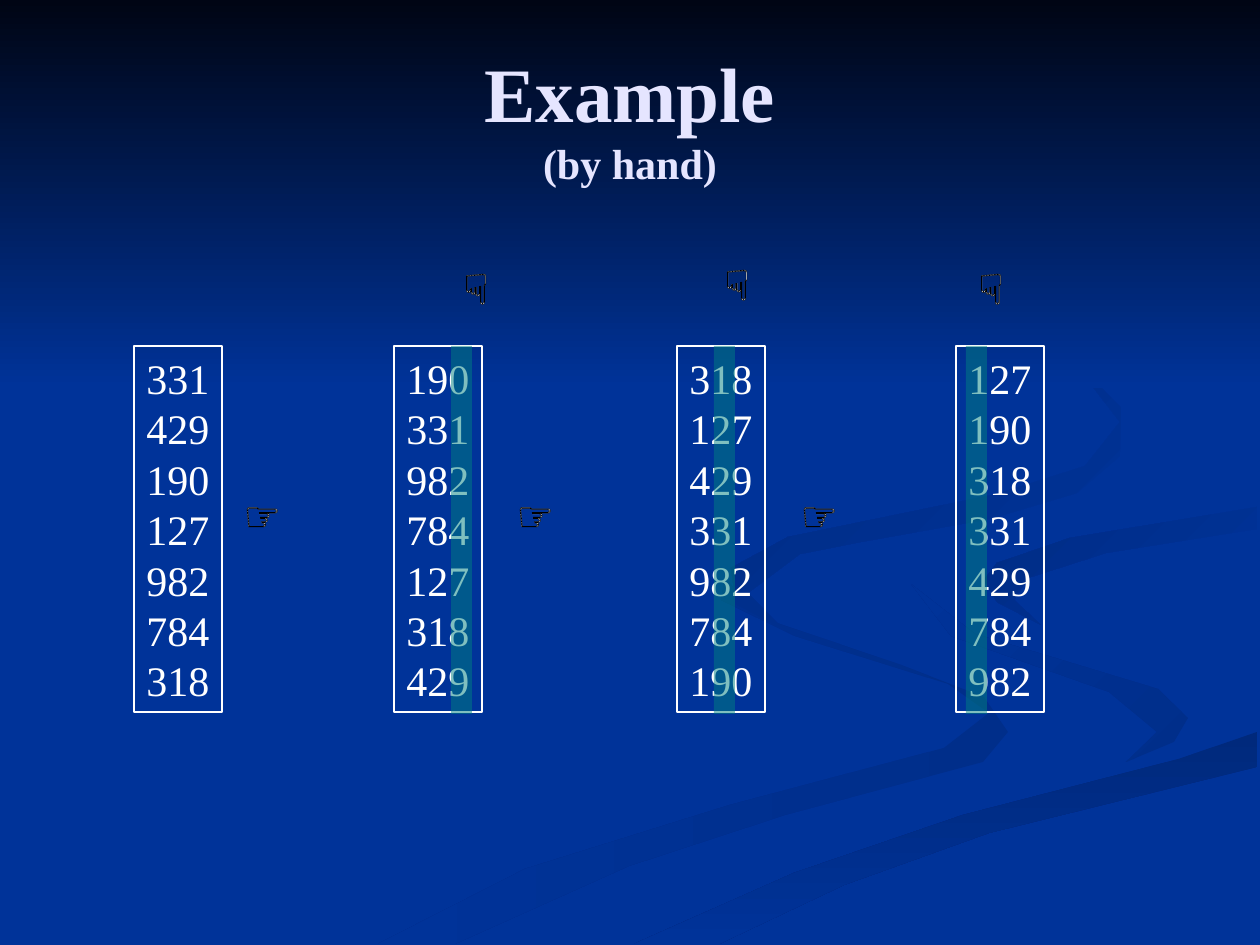
"""Build a slide showing a radix sort worked by hand, one digit at a time."""
from lxml import etree
from pptx import Presentation
from pptx.dml.color import RGBColor
from pptx.enum.shapes import MSO_SHAPE as Shape
from pptx.enum.text import MSO_ANCHOR as Anchor, MSO_AUTO_SIZE as AutoSize, PP_ALIGN as Align
from pptx.oxml.ns import qn
from pptx.util import Pt

PX = 914400 / 126
BLUE = RGBColor(0x00, 0x33, 0x99)
NIGHT = RGBColor(0x00, 0x05, 0x14)
LAVENDER = RGBColor(0xE5, 0xE5, 0xFF)
WHITE = RGBColor(0xFF, 0xFF, 0xFF)
BLACK = RGBColor(0x00, 0x00, 0x00)
TEAL = RGBColor(0x00, 0x80, 0x80)
SHADE_LEFT = RGBColor(0x00, 0x2E, 0x8A)
SHADE_BOTTOM = RGBColor(0x00, 0x29, 0x7C)
SHADE_RIGHT = RGBColor(0x00, 0x2C, 0x85)
SHADE_TOP = RGBColor(0x00, 0x2B, 0x81)

RIBBONS = [
    (SHADE_LEFT, BLUE, 180, [
        (984, 697), (901, 665), (759, 617), (725, 578), (721, 600), (795, 636), (948, 684),
        (989, 713), (944, 748), (730, 805), (525, 869), (378, 944), (455, 944), (629, 866),
        (785, 815), (983, 762), (1008, 732)]),
    (SHADE_LEFT, BLUE, 225, [
        (1188, 718), (1158, 689), (975, 634), (912, 585), (951, 636), (1109, 692), (1157, 732),
        (1126, 762), (1174, 742)]),
    (SHADE_BOTTOM, BLUE, 90, [
        (634, 944), (719, 944), (844, 885), (989, 833), (1257, 767), (1257, 732), (1179, 759),
        (963, 815), (794, 873)]),
    (BLUE, SHADE_RIGHT, 225, [
        (984, 580), (997, 602), (1041, 625), (1014, 600), (1028, 578), (1106, 553), (1257, 529),
        (1257, 507), (1070, 538), (997, 563)]),
    (BLUE, SHADE_TOP, 225, [
        (861, 542), (990, 519), (1077, 493), (1120, 456), (1121, 408), (1062, 347), (960, 294),
        (1066, 352), (1120, 422), (1085, 466), (997, 494), (788, 537), (731, 568), (736, 604),
        (784, 630), (748, 593), (800, 554)]),
    (NIGHT, BLUE, 90, [(0, 0), (0, 388), (1260, 388), (1260, 0)]),
]
COLUMNS = [
    (134, "331 429 190 127 982 784 318"),
    (394, "190 331 982 784 127 318 429"),
    (677, "318 127 429 331 982 784 190"),
    (956, "127 190 318 331 429 784 982"),
]
HANDS = [
    ("☞", 231, 483, 147), ("☞", 504, 483, 147), ("☞", 788, 483, 147),
    ("☟", 451, 256, 34), ("☟", 712, 252, 34), ("☟", 966, 256, 34),
]


def px(*lengths):
    return [round(length * PX) for length in lengths]


def style(run, size, font, color):
    run.font.size = Pt(size)
    run.font.name = font
    run.font.color.rgb = color


presentation = Presentation()
presentation.slide_width, presentation.slide_height = px(1260, 945)
slide = presentation.slides.add_slide(presentation.slide_layouts[5])
slide.background.fill.solid()
slide.background.fill.fore_color.rgb = BLUE

for start, end, angle, points in RIBBONS:
    builder = slide.shapes.build_freeform(*points[0], scale=PX)
    builder.add_line_segments(points[1:], close=True)
    ribbon = builder.convert_to_shape()
    ribbon.shadow.inherit = False
    ribbon.line.fill.background()
    ribbon.fill.gradient()
    ribbon.fill.gradient_angle = 360 - angle
    for stop, color in zip(ribbon.fill.gradient_stops, (start, end)):
        stop.color.rgb = color

title = slide.shapes.title
slide.shapes.element.append(title.element)
title.left, title.top, title.width, title.height = px(63, 38, 1134, 158)
title.text_frame.text = "Example\v(by hand)"
title.text_frame.auto_size = AutoSize.NONE
title.text_frame.vertical_anchor = Anchor.MIDDLE
title.text_frame.paragraphs[0].alignment = Align.CENTER
for run, size in zip(title.text_frame.paragraphs[0].runs, (44, 24)):
    style(run, size, "Times New Roman", LAVENDER)
    run.font.bold = True

for left, numbers in COLUMNS:
    column = slide.shapes.add_shape(Shape.RECTANGLE, *px(left, 346, 88, 366))
    column.shadow.inherit = False
    column.fill.background()
    column.line.color.rgb = WHITE
    column.line.width = Pt(0.75)
    column.text_frame.text = numbers.replace(" ", "\n")
    column.text_frame.word_wrap = False
    column.text_frame.vertical_anchor = Anchor.MIDDLE
    for paragraph in column.text_frame.paragraphs:
        paragraph.alignment = Align.CENTER
        paragraph.line_spacing = Pt(28.8)
        style(paragraph.runs[0], 24, "Times New Roman", WHITE)

for symbol, left, top, width in HANDS:
    hand = slide.shapes.add_textbox(*px(left, top, width, 69))
    hand.text_frame.text = symbol
    hand.text_frame.word_wrap = False
    run = hand.text_frame.paragraphs[0].runs[0]
    style(run, 24, "Arial", WHITE)
    outline = etree.Element(qn("a:ln"), w=str(Pt(0.75)))
    outline_fill = etree.SubElement(outline, qn("a:solidFill"))
    etree.SubElement(outline_fill, qn("a:srgbClr"), val=str(BLACK))
    hand.element.find(".//" + qn("a:rPr")).insert(0, outline)

for left in (451, 714, 966):
    highlight = slide.shapes.add_shape(Shape.RECTANGLE, *px(left, 346, 21, 368))
    highlight.shadow.inherit = False
    highlight.line.fill.background()
    highlight.fill.solid()
    highlight.fill.fore_color.rgb = TEAL
    color = highlight.element.find(".//" + qn("a:srgbClr"))
    etree.SubElement(color, qn("a:alpha"), val="50000")

presentation.save("out.pptx")
